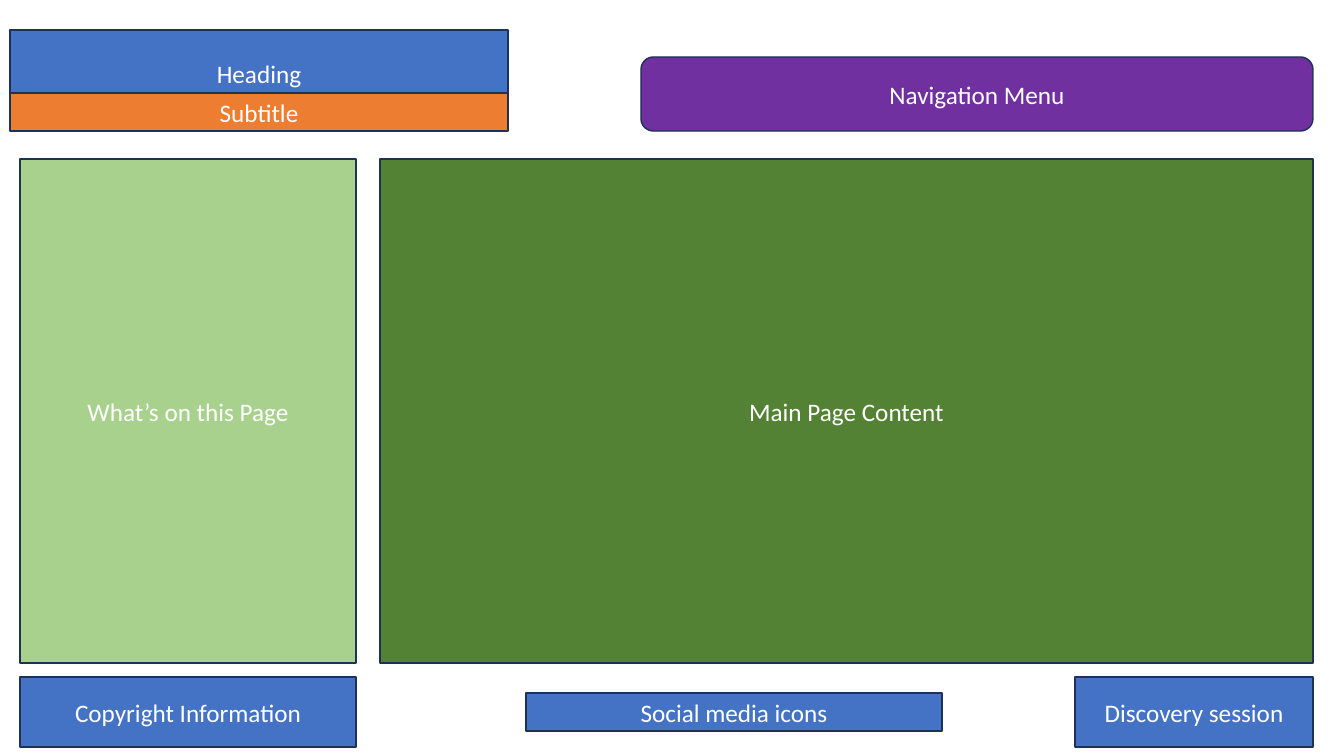
import pptx
import pptx.util
import pptx.dml.color
import pptx.enum.shapes
import pptx.enum.text

RGB = pptx.dml.color.RGBColor
KIND = pptx.enum.shapes.MSO_SHAPE

BLUE = RGB(0x44, 0x72, 0xC4)
ORANGE = RGB(0xED, 0x7D, 0x31)
PURPLE = RGB(0x70, 0x30, 0xA0)
LIGHT = RGB(0xA9, 0xD1, 0x8E)
GREEN = RGB(0x54, 0x82, 0x35)
NAVY = RGB(0x1E, 0x32, 0x56)
WHITE = RGB(0xFF, 0xFF, 0xFF)

WIDE, HIGH = 1344, 756
SCALE = 12192000 / WIDE
SIDE = 336  # width of the left column


def px(n):
    return pptx.util.Emu(round(n * SCALE))


def block(slide, text, fill, x, y, w, h, kind=KIND.RECTANGLE):
    """Add one outlined block with a centred label."""
    shape = slide.shapes.add_shape(kind, px(x), px(y), px(w), px(h))
    shape.shadow.inherit = False
    shape.fill.solid()
    shape.fill.fore_color.rgb = fill
    shape.line.color.rgb = NAVY
    shape.line.width = pptx.util.Pt(1)
    frame = shape.text_frame
    frame.word_wrap = True
    frame.vertical_anchor = pptx.enum.text.MSO_ANCHOR.MIDDLE
    para = frame.paragraphs[0]
    para.text = text
    para.alignment = pptx.enum.text.PP_ALIGN.CENTER
    para.font.name = "Calibri"
    para.font.size = pptx.util.Pt(18)
    para.font.color.rgb = WHITE


def header(slide, x, y, w, h):
    title, sub = 498, 38
    block(slide, "Heading", BLUE, x, y, title, h - 14)
    block(slide, "Subtitle", ORANGE, x, y + h - sub, title, sub)
    # Menu sits at the bottom right
    menu, tall = 672, 74
    block(slide, "Navigation Menu", PURPLE, x + w - menu, y + h - tall,
          menu, tall, KIND.ROUNDED_RECTANGLE)


def body(slide, x, y, w, h):
    main = SIDE + 24
    block(slide, "What’s on this Page", LIGHT, x, y, SIDE, h)
    block(slide, "Main Page Content", GREEN, x + main, y, w - main, h)


def footer(slide, x, y, w, h):
    icons, tall, call = 416, 38, 238
    block(slide, "Social media icons", BLUE, x + 506, y + (h - tall) / 2,
          icons, tall)
    block(slide, "Discovery session", BLUE, x + w - call, y, call, h)
    block(slide, "Copyright Information", BLUE, x, y, SIDE, h)


def main():
    deck = pptx.Presentation()
    deck.slide_width, deck.slide_height = px(WIDE), px(HIGH)
    slide = deck.slides.add_slide(deck.slide_layouts[6])
    header(slide, 10, 30, 1303, 101)
    body(slide, 20, 159, 1293, 504)
    footer(slide, 20, 677, 1293, 70)
    deck.save("out.pptx")


if __name__ == "__main__":
    main()
